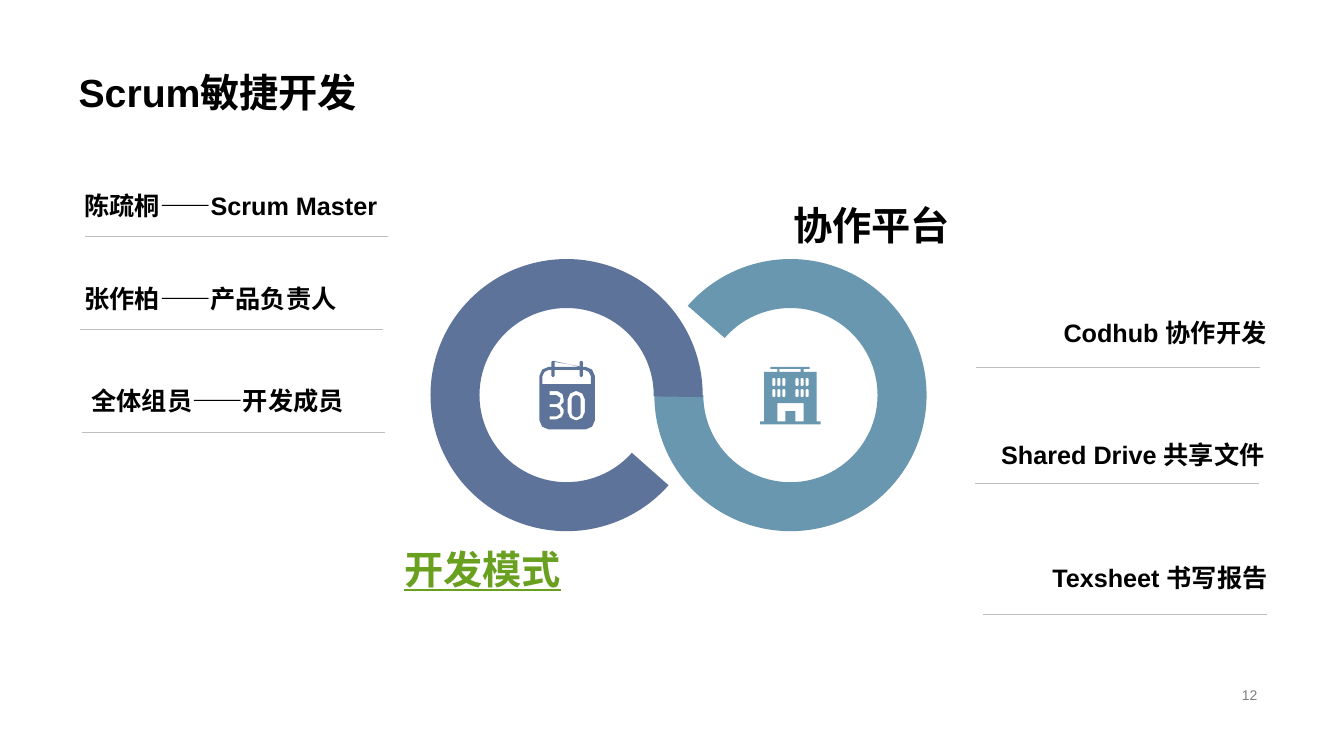
from lxml import etree
from pptx import Presentation
from pptx.dml.color import RGBColor
from pptx.enum.shapes import MSO_CONNECTOR, MSO_SHAPE
from pptx.enum.text import MSO_ANCHOR, MSO_AUTO_SIZE, PP_ALIGN
from pptx.util import Inches, Pt

ARC, STRAIGHT = MSO_SHAPE.BLOCK_ARC, MSO_CONNECTOR.STRAIGHT
LEFT, RIGHT = PP_ALIGN.LEFT, PP_ALIGN.RIGHT
BOTTOM, MIDDLE = MSO_ANCHOR.BOTTOM, MSO_ANCHOR.MIDDLE
FIXED = MSO_AUTO_SIZE.NONE
EFFECTS = "{http://schemas.openxmlformats.org/drawingml/2006/main}effectLst"

THEME = {
    "font": "Arial", "heading": 28, "label": 18, "number": 10,
    "navy": RGBColor.from_string("5D739A"), "teal": RGBColor.from_string("6997AF"),
    "green": RGBColor.from_string("69A020"), "black": RGBColor.from_string("000000"),
    "rule": RGBColor.from_string("BFBFBF"), "grey": RGBColor.from_string("808080"),
}

prs = Presentation()
prs.slide_width, prs.slide_height = Inches(13.33), Inches(7.5)
slide = prs.slides.add_slide(prs.slide_layouts[5])
shapes = slide.shapes


def write(box, words, size, color="black", align=LEFT, anchor=BOTTOM, bold=True):
    frame = box.text_frame
    frame.text = words
    frame.word_wrap, frame.auto_size, frame.vertical_anchor = True, FIXED, anchor
    paragraph = frame.paragraphs[0]
    paragraph.alignment = align
    paragraph.line_spacing = 0.9 if size == "heading" else 1.0
    font = paragraph.runs[0].font
    font.name, font.size, font.bold = THEME["font"], Pt(THEME[size]), bold
    font.color.rgb = THEME[color]
    return font


def rounded(left, top, right, bottom, cut):
    """Contour of a box with softened corners."""
    third = cut * 0.3
    return [(left, top + cut), (left + third, top + third), (left + cut, top),
            (right - cut, top), (right - third, top + third), (right, top + cut),
            (right, bottom - cut), (right - third, bottom - third), (right - cut, bottom),
            (left + cut, bottom), (left + third, bottom - third), (left, bottom - cut)]


# Slide title and the two ring headings
title = shapes.title
title.left, title.top, title.width, title.height = map(Inches, (0.68, 0.17, 11.81, 1.03))
write(title, "Scrum敏捷开发", "heading")
for words, left, top, color in (("开发模式", 3.91, 5.36, "green"),
                                ("协作平台", 7.77, 1.95, "black")):
    heading = shapes.add_textbox(*map(Inches, (left, top, 2.01, 0.57)))
    write(heading, words, "heading", color).underline = color == "green"

# Two open rings that meet in the middle; angles run clockwise from the right
RING_SIZE, THICKNESS, ANGLE_UNIT = 2.7, 0.18, 0.6
artwork = []
for left, start, end, color in ((6.49, 221, 180, "teal"), (4.27, 41.5, 0.85, "navy")):
    ring = shapes.add_shape(ARC, *map(Inches, (left, 2.57, RING_SIZE, RING_SIZE)))
    ring.adjustments[0] = start * ANGLE_UNIT
    ring.adjustments[1] = end * ANGLE_UNIT
    ring.adjustments[2] = THICKNESS
    artwork.append((ring, color))

# Calendar icon: sheet with two binding pins, open header and the number 30
sheet = rounded(5.35, 3.64, 5.9, 4.26, 0.09)
header = [(5.38, 3.81), (5.38, 3.73), (5.4, 3.69), (5.44, 3.67)]
for pin in (5.47, 5.75):
    at = 3 if pin == 5.47 else 7
    sheet[at:at] = [(pin, 3.64), (pin, 3.59), (pin + 0.01, 3.58), (pin + 0.02, 3.58),
                    (pin + 0.03, 3.59), (pin + 0.03, 3.64)]
    header += [(pin, 3.67), (pin, 3.73), (pin + 0.01, 3.74), (pin + 0.02, 3.74),
               (pin + 0.03, 3.73), (pin + 0.03, 3.67)]
header += [(5.8, 3.67), (5.84, 3.69), (5.86, 3.73), (5.86, 3.81)]
three = [(5.45, 3.88), (5.53, 3.88), (5.58, 3.91), (5.59, 3.96), (5.59, 3.99), (5.56, 4.02),
         (5.59, 4.06), (5.59, 4.1), (5.57, 4.14), (5.52, 4.16), (5.45, 4.16), (5.45, 4.13),
         (5.52, 4.13), (5.56, 4.1), (5.55, 4.06), (5.52, 4.04), (5.45, 4.04), (5.45, 4.01),
         (5.52, 4.01), (5.55, 3.99), (5.56, 3.95), (5.52, 3.92), (5.45, 3.92)]
zero = [rounded(5.63, 3.88, 5.8, 4.17, 0.08), rounded(5.67, 3.92, 5.76, 4.14, 0.04)]
calendar = [sheet, header, three, *zero]

# Building icon: walls on their ground line, roof bar, door and windows
walls = [(7.54, 4.18), (7.58, 4.18), (7.58, 3.69), (7.71, 3.69), (7.71, 3.66), (7.64, 3.66),
         (7.64, 3.64), (8.03, 3.64), (8.03, 3.66), (7.97, 3.66), (7.97, 3.69), (8.1, 3.69),
         (8.1, 4.18), (8.14, 4.18), (8.14, 4.21), (7.54, 4.21)]
under_roof = [(7.73, 3.66), (7.94, 3.66), (7.94, 3.69), (7.73, 3.69)]
door = [(7.71, 4.0), (7.97, 4.0), (7.97, 4.18), (7.89, 4.18),
        (7.89, 4.08), (7.79, 4.08), (7.79, 4.18), (7.71, 4.18)]
windows = [rounded(x, y, x + 0.03, y + 0.08, 0.01)
           for y in (3.75, 3.86) for wing in (7.66, 7.89)
           for x in (wing, wing + 0.05, wing + 0.1)]
building = [walls, under_roof, door, *windows]

# Each icon is one outline with openings
for contours, color in ((calendar, "navy"), (building, "teal")):
    contours = [[(Inches(x), Inches(y)) for x, y in contour] for contour in contours]
    builder = shapes.build_freeform(*contours[0][0], scale=1.0)
    for contour in contours:
        if contour is not contours[0]:
            builder.move_to(*contour[0])
        builder.add_line_segments(contour[1:], close=True)
    artwork.append((builder.convert_to_shape(), color))

for piece, color in artwork:
    piece.shadow.inherit = False
    piece.fill.solid()
    piece.fill.fore_color.rgb = THEME[color]
    piece.line.fill.background()

# Roles on the left and tools on the right, each above a thin rule
entries = (
    ("陈疏桐——Scrum Master", LEFT, 0.74, 1.82, 0.84, 2.34),
    ("张作柏——产品负责人", LEFT, 0.74, 2.74, 0.79, 3.27),
    ("全体组员——开发成员", LEFT, 0.81, 3.75, 0.81, 4.29),
    ("Codhub 协作开发", RIGHT, 9.49, 3.08, 9.68, 3.64),
    ("Shared Drive 共享文件", RIGHT, 9.47, 4.29, 9.67, 4.79),
    ("Texsheet 书写报告", RIGHT, 9.5, 5.51, 9.75, 6.09),
)
for words, align, left, top, rule_left, rule_y in entries:
    label_width, rule_width = (3.39, 3.01) if align == LEFT else (3.17, 2.82)
    label = shapes.add_textbox(*map(Inches, (left, top, label_width, 0.42)))
    write(label, words, "label", align=align)
    rule = shapes.add_connector(
        STRAIGHT, *map(Inches, (rule_left, rule_y, rule_left + rule_width, rule_y)))
    rule.line.color.rgb = THEME["rule"]
    rule.line.width = Pt(0.25)
    etree.SubElement(rule._element.spPr, EFFECTS)

# Slide number
number = shapes.add_textbox(*map(Inches, (9.41, 6.78, 3.16, 0.23)))
write(number, "12", "number", "grey", RIGHT, MIDDLE, bold=False)

prs.save("out.pptx")
